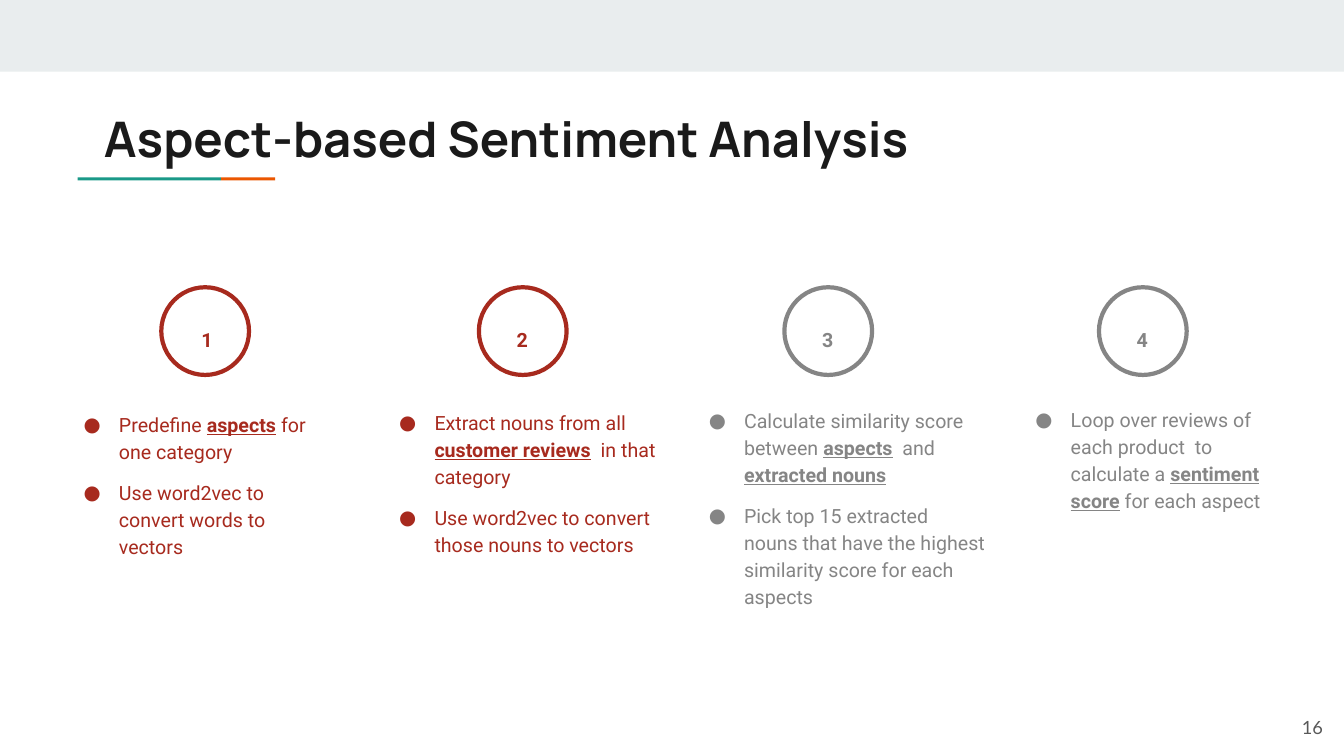
from lxml import etree
from pptx import Presentation
from pptx.dml.color import RGBColor
from pptx.enum.shapes import MSO_SHAPE
from pptx.enum.text import MSO_ANCHOR, MSO_AUTO_SIZE, PP_ALIGN
from pptx.oxml.ns import qn
from pptx.util import Emu, Pt

PX = 9144  # 100 px to the inch
BAND = RGBColor(0xE9, 0xED, 0xEE)
TEAL = RGBColor(0x1A, 0x99, 0x88)
ORANGE = RGBColor(0xEB, 0x56, 0x00)
INK = RGBColor(0x1A, 0x1A, 0x1A)
PAGE_GREY = RGBColor(0x59, 0x59, 0x59)
RED = RGBColor(0xA7, 0x2A, 0x1E)
GREY = RGBColor(0x85, 0x85, 0x85)

CIRCLE_TOP, CIRCLE_SIZE = 285, 87
NUMBER_OFFSET, NUMBER_TOP = 11, 309

# number, colour, circle left, bullet box, bullets with *key terms*
STEPS = [
    (" 1", RED, 160, (55, 393, 290, 170),
     ["Predefine *aspects* for one category",
      "Use word2vec to convert words to vectors"]),
    ("2", RED, 475, (368, 391, 316, 171),
     ["Extract nouns from all *customer reviews*  in that category",
      "Use word2vec to convert those nouns to vectors"]),
    ("3", GREY, 778, (675, 389, 316, 173),
     ["Calculate similarity score between *aspects*  and *extracted nouns*",
      "Pick top 15 extracted nouns that have the highest similarity score for each aspects"]),
    ("4", GREY, 1090, (999, 388, 290, 174),
     ["Loop over reviews of each product  to calculate a *sentiment score* for each aspect"]),
]


def px(*lengths):
    return [Emu(length * PX) for length in lengths]


def set_all(target, values):
    for name, value in values.items():
        setattr(target, name, value)


def format_frame(frame, anchor=MSO_ANCHOR.TOP):
    inset = Emu(13 * PX)
    set_all(frame, {
        "word_wrap": True, "auto_size": MSO_AUTO_SIZE.NONE, "vertical_anchor": anchor,
        "margin_left": inset, "margin_right": inset,
        "margin_top": inset, "margin_bottom": inset,
    })
    return frame


def add_run(paragraph, text, color, **font_values):
    run = paragraph.add_run()
    run.text = text
    set_all(run.font, font_values)
    run.font.color.rgb = color


def add_text_frame(slide, box, anchor=MSO_ANCHOR.TOP):
    return format_frame(slide.shapes.add_textbox(*px(*box)).text_frame, anchor)


def add_bar(slide, box, color):
    bar = slide.shapes.add_shape(MSO_SHAPE.RECTANGLE, *px(*box))
    bar.shadow.inherit = False
    bar.fill.solid()
    bar.fill.fore_color.rgb = color
    bar.line.fill.background()


def set_title(slide, text):
    title = slide.shapes.title
    set_all(title, dict(zip(("left", "top", "width", "height"), px(90, 95, 1121, 78))))
    paragraph = format_frame(title.text_frame).paragraphs[0]
    paragraph.alignment = PP_ALIGN.LEFT
    add_run(paragraph, text, INK, name="Manrope", size=Pt(35), bold=True)


def add_numbered_circle(slide, number, color, left):
    circle = slide.shapes.add_shape(
        MSO_SHAPE.OVAL, *px(left, CIRCLE_TOP, CIRCLE_SIZE, CIRCLE_SIZE))
    circle.shadow.inherit = False
    circle.fill.background()
    circle.line.color.rgb = color
    circle.line.width = Pt(3)

    frame = add_text_frame(slide, (left + NUMBER_OFFSET, NUMBER_TOP, 64, 47))
    paragraph = frame.paragraphs[0]
    set_all(paragraph, {"alignment": PP_ALIGN.CENTER, "line_spacing": 1.15,
                        "space_after": Pt(21)})
    add_run(paragraph, number, color, name="Roboto", size=Pt(14), bold=True)


def set_bullet(paragraph, color):
    properties = paragraph._p.get_or_add_pPr()
    properties.set("marL", str(50 * PX))
    properties.set("indent", str(-35 * PX))
    bullet_color = etree.SubElement(properties, qn("a:buClr"))
    etree.SubElement(bullet_color, qn("a:srgbClr"), val=str(color))
    etree.SubElement(properties, qn("a:buFont"), typeface="Roboto")
    etree.SubElement(properties, qn("a:buChar"), char="●")


def add_bullets(slide, box, bullets, color):
    """Add a bulleted list; terms between asterisks become bold and underlined."""
    frame = add_text_frame(slide, box)
    for index, bullet in enumerate(bullets):
        paragraph = frame.add_paragraph() if index else frame.paragraphs[0]
        set_all(paragraph, {"line_spacing": 1.15, "space_before": Pt(10 if index else 0)})
        set_bullet(paragraph, color)
        for part, text in enumerate(bullet.split("*")):
            if text:
                key_term = part % 2 == 1
                add_run(paragraph, text, color, name="Roboto", size=Pt(14),
                        bold=key_term, underline=key_term)


def add_page_number(slide, number):
    paragraph = add_text_frame(slide, (1245, 693, 80, 57), MSO_ANCHOR.MIDDLE).paragraphs[0]
    paragraph.alignment = PP_ALIGN.RIGHT
    add_run(paragraph, number, PAGE_GREY, name="Lato", size=Pt(13))


def main():
    deck = Presentation()
    deck.slide_width, deck.slide_height = px(1333, 750)
    slide = deck.slides.add_slide(deck.slide_layouts[5])

    add_bar(slide, (0, 0, 1333, 71), BAND)
    add_bar(slide, (219, 176, 54, 3), ORANGE)
    add_bar(slide, (77, 176, 142, 3), TEAL)
    set_title(slide, "Aspect-based Sentiment Analysis")
    for number, color, circle_left, bullet_box, bullets in STEPS:
        add_numbered_circle(slide, number, color, circle_left)
        add_bullets(slide, bullet_box, bullets, color)
    add_page_number(slide, "16")

    deck.save("out.pptx")


if __name__ == "__main__":
    main()
